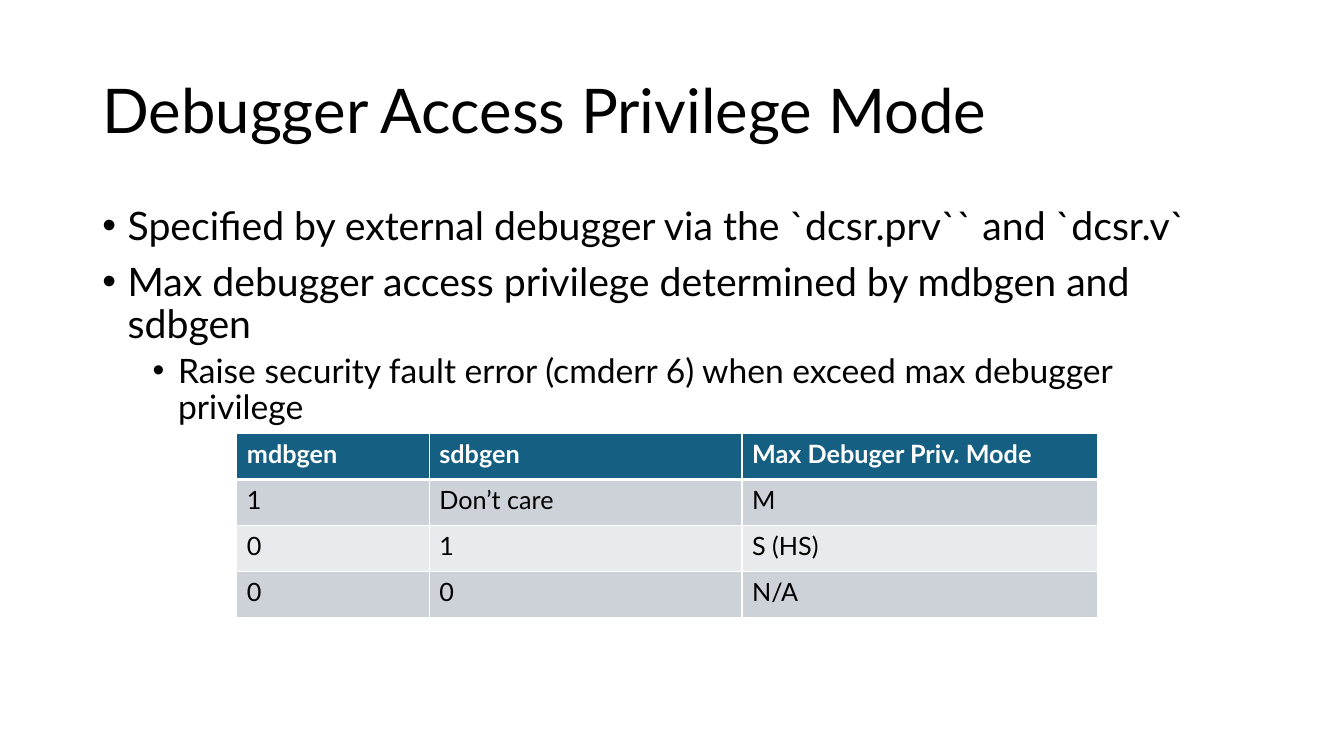
from lxml import etree
from pptx import Presentation
from pptx import util as u
from pptx.dml.color import RGBColor
from pptx.enum import text
from pptx.oxml.ns import qn

FONT = "Lato"
BLACK, WHITE, TEAL = "000000", "FFFFFF", "156082"
BANDS = ("CCD2D8", "E8EAED")

TITLE = "Debugger Access Privilege Mode"
BULLETS = [
    (0, "Specified by external debugger via the `dcsr.prv`` and `dcsr.v`"),
    (0, "Max debugger access privilege determined by mdbgen and sdbgen"),
    (1, "Raise security fault error (cmderr 6) when exceed max debugger privilege"),
]
BULLET_STYLES = [(28, 10, 0.64), (24, 5, 1.91)]
MODES = [
    ("mdbgen", "sdbgen", "Max Debuger Priv. Mode"),
    ("1", "Don’t care", "M"),
    ("0", "1", "S (HS)"),
    ("0", "0", "N/A"),
]
COLUMN_WIDTHS = (4.85, 7.88, 8.95)


def color(value):
    return RGBColor.from_string(value)


def set_font(paragraph, size, value=BLACK, bold=False):
    font = paragraph.font
    font.name, font.size, font.bold = FONT, u.Pt(size), bold
    font.color.rgb = color(value)


def add_text_frame(slide, box):
    frame = slide.shapes.add_textbox(*map(u.Cm, box)).text_frame
    frame.word_wrap = True
    return frame


def add_title(slide, box):
    frame = add_text_frame(slide, box)
    frame.vertical_anchor = text.MSO_ANCHOR.MIDDLE
    paragraph = frame.paragraphs[0]
    paragraph.text = TITLE
    paragraph.line_spacing = 0.9
    set_font(paragraph, 44)


def add_bullets(slide, box):
    frame = add_text_frame(slide, box)
    for index, (level, wording) in enumerate(BULLETS):
        paragraph = frame.add_paragraph() if index else frame.paragraphs[0]
        size, space, indent = BULLET_STYLES[level]
        paragraph.text = wording
        paragraph.level = level
        paragraph.line_spacing = 0.9
        paragraph.space_before = u.Pt(space)
        set_font(paragraph, size)
        properties = paragraph._p.get_or_add_pPr()
        properties.set("marL", str(u.Cm(indent)))
        properties.set("indent", str(u.Cm(-0.64)))
        bullet_font = etree.Element(qn("a:buFont"), typeface="Arial")
        bullet = etree.Element(qn("a:buChar"), char="•")
        defaults = properties.find(qn("a:defRPr"))
        defaults.addprevious(bullet_font)
        defaults.addprevious(bullet)


def set_borders(cell, top, bottom):
    properties = cell._tc.get_or_add_tcPr()
    for side, width in (("L", 1), ("R", 1), ("T", top), ("B", bottom)):
        line = etree.SubElement(properties, qn(f"a:ln{side}"), w=str(u.Pt(width)))
        fill = etree.SubElement(line, qn("a:solidFill"))
        etree.SubElement(fill, qn("a:srgbClr"), val=WHITE)


def add_mode_table(slide, box):
    table = slide.shapes.add_table(len(MODES), len(COLUMN_WIDTHS), *map(u.Cm, box)).table
    for column, width in zip(table.columns, COLUMN_WIDTHS):
        column.width = u.Cm(width)
    for row, values in enumerate(MODES):
        header = row == 0
        for column, value in enumerate(values):
            cell = table.cell(row, column)
            set_borders(cell, 3 if row == 1 else 1, 3 if header else 1)
            cell.fill.solid()
            cell.fill.fore_color.rgb = color(TEAL if header else BANDS[(row - 1) % 2])
            cell.text = value
            set_font(cell.text_frame.paragraphs[0], 18, WHITE if header else BLACK, header)


def main():
    presentation = Presentation()
    presentation.slide_width, presentation.slide_height = u.Cm(33.87), u.Cm(19.05)
    slide = presentation.slides.add_slide(presentation.slide_layouts[6])
    add_title(slide, (2.33, 1.01, 29.21, 3.68))
    add_bullets(slide, (2.33, 5.07, 29.21, 12.09))
    add_mode_table(slide, (5.97, 10.92, sum(COLUMN_WIDTHS), 4.64))
    presentation.save("out.pptx")


if __name__ == "__main__":
    main()
